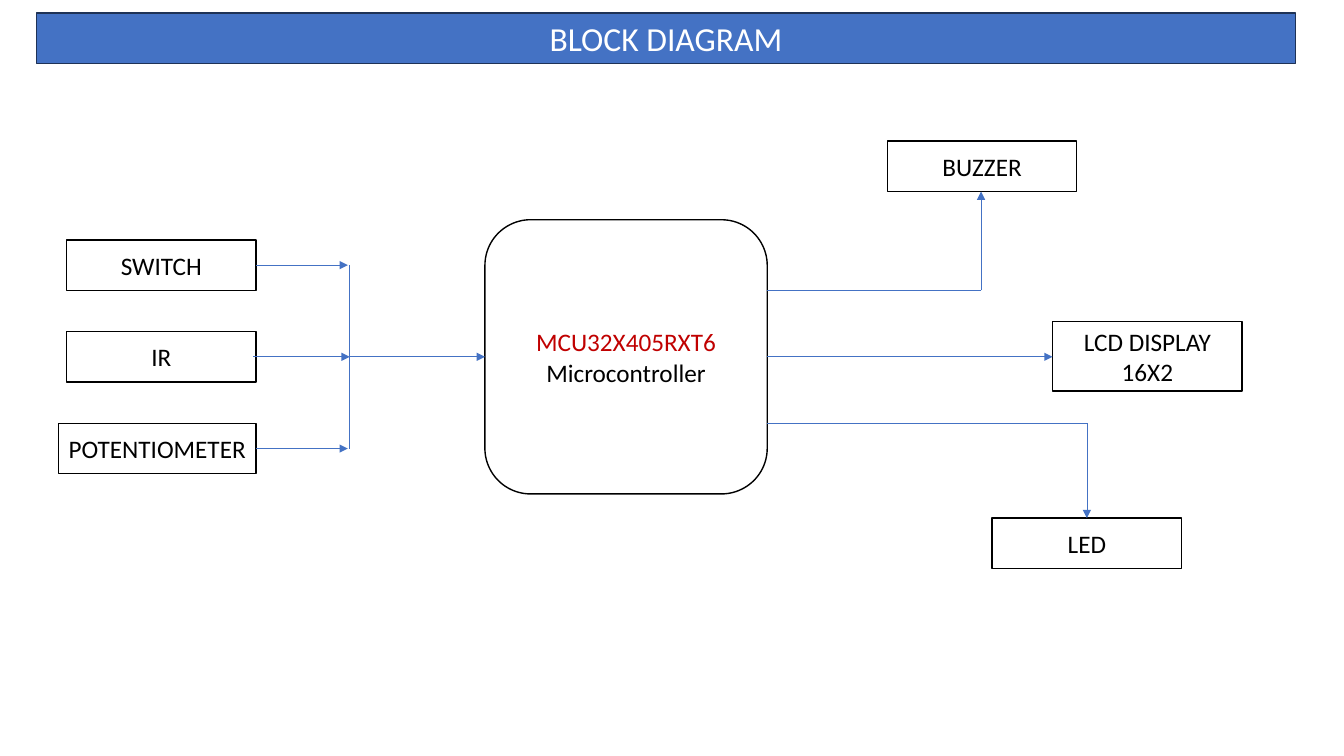
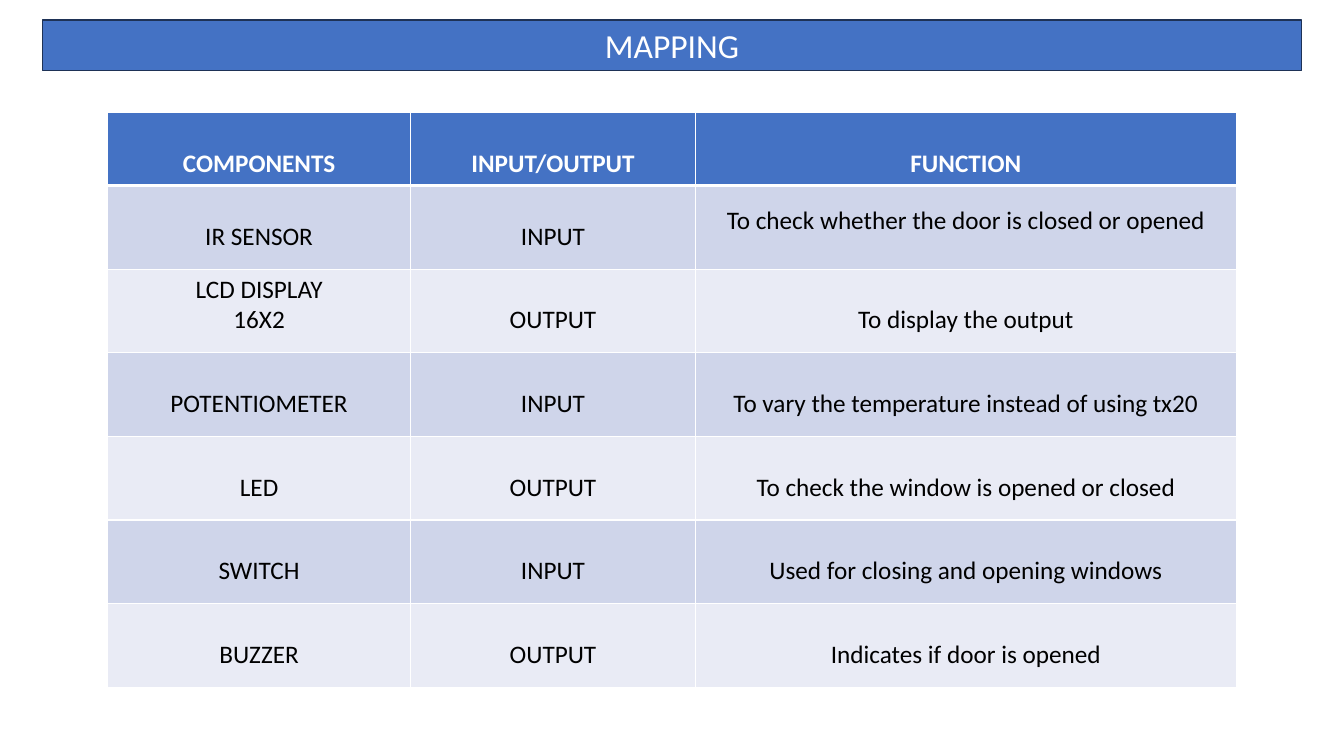
from pptx import Presentation
from pptx.dml.color import RGBColor
from pptx.enum.shapes import MSO_CONNECTOR as Conn, MSO_SHAPE as Shape
from pptx.enum.text import MSO_ANCHOR as Anchor, MSO_AUTO_SIZE as Fit, PP_ALIGN as Align
from pptx.oxml.ns import qn
from pptx.util import Inches, Pt
from lxml.etree import SubElement

FONT = "Calibri"
BLUE = RGBColor(0x44, 0x72, 0xC4)
NAVY = RGBColor(0x1E, 0x32, 0x56)
RED = RGBColor(0xC0, 0x00, 0x00)
BLACK = RGBColor(0x00, 0x00, 0x00)
WHITE = RGBColor(0xFF, 0xFF, 0xFF)
BANDS = (RGBColor(0xCF, 0xD5, 0xEA), RGBColor(0xE9, 0xEB, 0xF5))

COLS = (3, 2.83, 5.36)
HEAD, ROW = 0.72, 0.83
ROWS = (
    ("COMPONENTS", "INPUT/OUTPUT", "FUNCTION"),
    ("IR SENSOR", "INPUT", "To check whether the door is closed or opened"),
    ("LCD DISPLAY\n16X2", "OUTPUT", "To display the output"),
    ("POTENTIOMETER", "INPUT", "To vary the temperature instead of using tx20"),
    ("LED", "OUTPUT", "To check the window is opened or closed"),
    ("SWITCH", "INPUT", "Used for closing and opening windows"),
    ("BUZZER", "OUTPUT", "Indicates if door is opened"),
)
SPACE = {(1, 2): 1.5, (2, 0): 1}


def write(frame, lines, size=18, bold=False, space=1):
    """Write centred lines, each a pair of text and colour."""
    for i, (text, color) in enumerate(lines):
        para = frame.paragraphs[0] if i == 0 else frame.add_paragraph()
        para.alignment = Align.CENTER
        para.line_spacing = space
        run = para.add_run()
        run.text = text
        font = run.font
        font.name, font.size, font.bold = FONT, Pt(size), bold
        font.color.rgb = color


def paint(shape, fill, edge):
    """Give a shape its fill and one-point outline."""
    shape.fill.solid()
    shape.fill.fore_color.rgb = fill
    shape.line.color.rgb = edge
    shape.line.width = Pt(1)


def start(deck, text, x, y):
    """Add a slide with its title band and return it."""
    slide = deck.slides.add_slide(deck.slide_layouts[5])
    title = slide.shapes.title
    title.left, title.top = Inches(x), Inches(y)
    title.width, title.height = Inches(12.49), Inches(0.5)
    paint(title, BLUE, NAVY)
    frame = title.text_frame
    frame.auto_size = Fit.NONE
    frame.vertical_anchor = Anchor.MIDDLE
    write(frame, [(text, WHITE)], 24)
    return slide


def block(slide, lines, x, y, w=1.88, h=0.5, kind=Shape.RECTANGLE):
    """Add one outlined block of the diagram."""
    shape = slide.shapes.add_shape(kind, Inches(x), Inches(y), Inches(w), Inches(h))
    shape.shadow.inherit = False
    paint(shape, WHITE, BLACK)
    frame = shape.text_frame
    frame.word_wrap = True
    frame.vertical_anchor = Anchor.MIDDLE
    write(frame, lines)


def wire(slide, *points, arrow=True):
    """Join points with straight lines, the last with an arrowhead."""
    last = len(points) - 2
    for i, (a, b) in enumerate(zip(points, points[1:])):
        line = slide.shapes.add_connector(Conn.STRAIGHT, *map(Inches, a + b))
        line.line.color.rgb = BLUE
        line.line.width = Pt(0.5)
        props = line._element.spPr
        if arrow and i == last:
            SubElement(props.find(qn("a:ln")), qn("a:tailEnd"), type="triangle")
        SubElement(props, qn("a:effectLst"))


def inputs(slide, x, y, w, end):
    """Draw the input blocks and the bus that leads to the chip."""
    step, right, bus = 0.91, x + w, x + 2.89
    for i, (name, inset, back, gap) in enumerate((
            ("SWITCH", 0.08, 0, 0.02),
            ("IR", 0.08, 0.03, 0),
            ("POTENTIOMETER", 0, 0, 0.02))):
        top = y + i * step
        block(slide, [(name, BLACK)], x + inset, top, w - inset)
        wire(slide, (right - back, top + 0.25), (bus - gap, top + 0.25))
    first = y + 0.25
    wire(slide, (bus, first), (bus, first + 2 * step), arrow=False)
    wire(slide, (bus, first + step), (end, first + step))


def chip(slide, x, y, w, h):
    """Draw the controller in the middle."""
    lines = [("MCU32X405RXT6", RED), ("Microcontroller", BLACK)]
    block(slide, lines, x, y, w, h, Shape.ROUNDED_RECTANGLE)


def outputs(slide, x, y):
    """Draw the output blocks and their wires from the chip edge."""
    block(slide, [("BUZZER", BLACK)], x + 1.19, y)
    block(slide, [("LCD DISPLAY", BLACK), ("16X2", BLACK)], x + 2.83, y + 1.79, h=0.69)
    block(slide, [("LED", BLACK)], x + 2.23, y + 3.74)
    wire(slide, (x, y + 1.48), (x + 2.12, y + 1.48), (x + 2.12, y + 0.5))
    wire(slide, (x, y + 2.14), (x + 2.83, y + 2.14))
    wire(slide, (x, y + 2.8), (x + 3.17, y + 2.8), (x + 3.17, y + 3.74))


def border(cell, head):
    """Rule a cell in white, thicker under the header."""
    props = cell._tc.get_or_add_tcPr()
    for side in "LRTB":
        width = Pt(3 if head and side == "B" else 1)
        edge = SubElement(props, qn("a:ln" + side), w=str(width))
        SubElement(SubElement(edge, qn("a:solidFill")), qn("a:srgbClr"), val=str(WHITE))


def grid(slide, x, y):
    """Draw the table of components."""
    high = HEAD + ROW * (len(ROWS) - 1)
    area = map(Inches, (x, y, sum(COLS), high))
    table = slide.shapes.add_table(len(ROWS), len(COLS), *area).table
    for col, w in zip(table.columns, COLS):
        col.width = Inches(w)
    for r, row in enumerate(ROWS):
        head = r == 0
        table.rows[r].height = Inches(HEAD if head else ROW)
        for c, text in enumerate(row):
            cell = table.cell(r, c)
            border(cell, head)
            cell.fill.solid()
            cell.fill.fore_color.rgb = BLUE if head else BANDS[(r - 1) % 2]
            lines = [(part, WHITE if head else BLACK) for part in text.split("\n")]
            write(cell.text_frame, lines, bold=head, space=SPACE.get((r, c), 2.0))


def main():
    """Build the deck and save it."""
    deck = Presentation()
    deck.slide_width, deck.slide_height = Inches(13.33), Inches(7.5)
    slide = start(deck, "BLOCK DIAGRAM", 0.36, 0.13)
    chip(slide, 4.81, 2.18, 2.8, 2.72)
    inputs(slide, 0.58, 2.38, 1.96, 4.81)
    outputs(slide, 7.61, 1.4)
    slide = start(deck, "MAPPING", 0.42, 0.2)
    grid(slide, 1.07, 1.12)
    deck.save("out.pptx")


if __name__ == "__main__":
    main()
